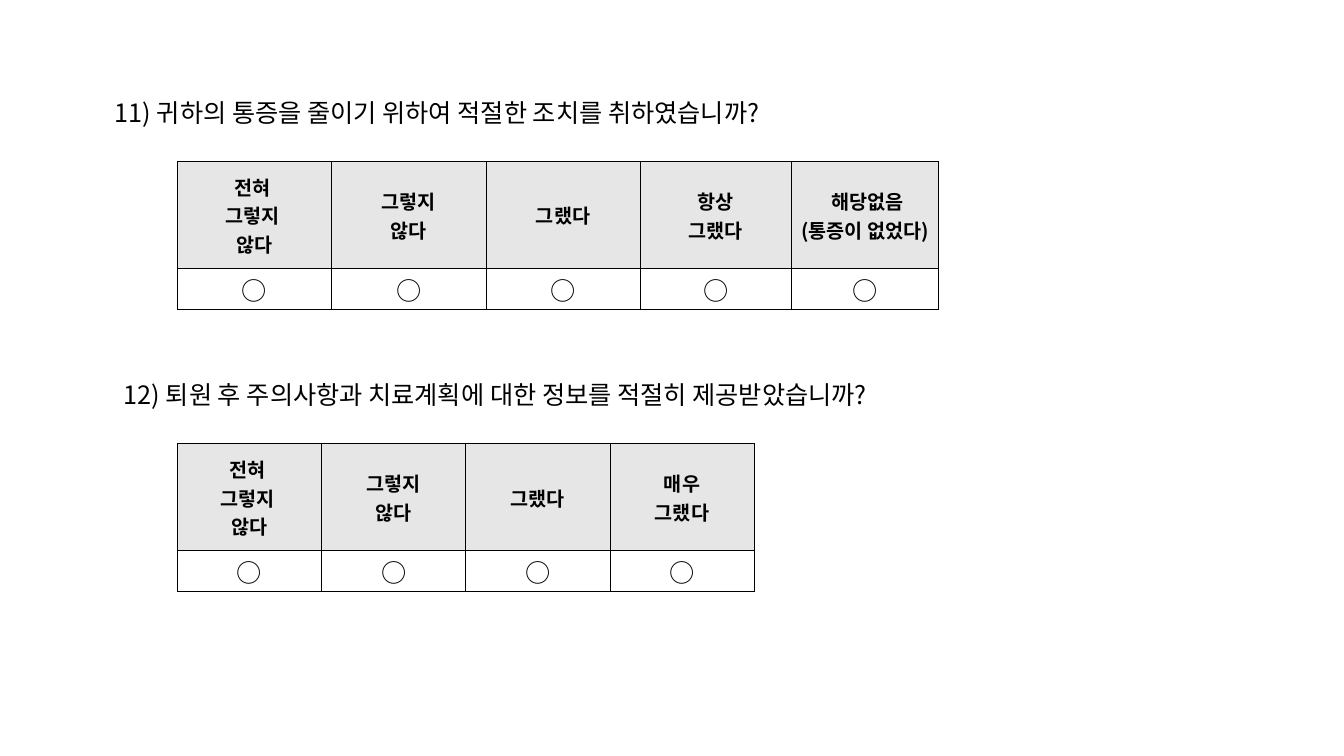
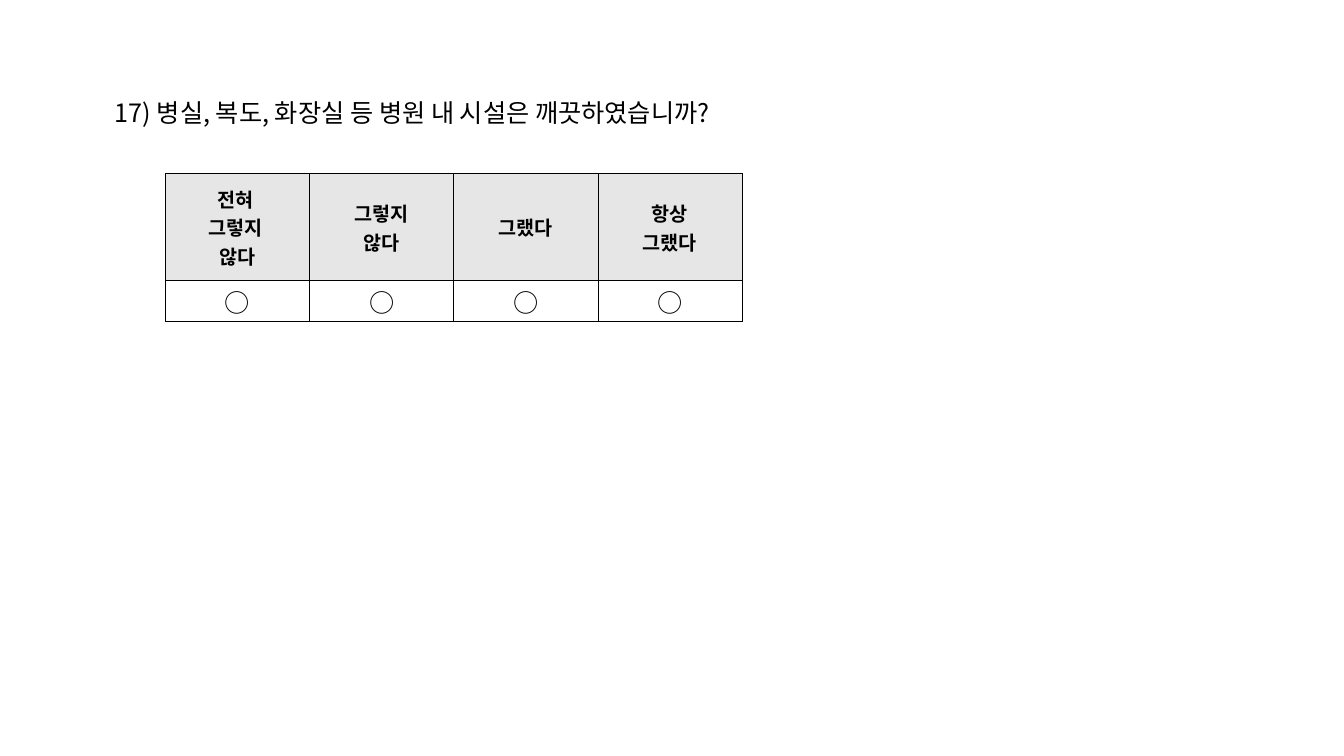
from copy import deepcopy

from lxml.etree import SubElement
from pptx import Presentation
from pptx.dml.color import RGBColor
from pptx.enum.text import MSO_ANCHOR, MSO_AUTO_SIZE, PP_ALIGN
from pptx.oxml.ns import qn
from pptx.util import Inches, Pt

FONT = "Noto Sans CJK KR"
COLORS = {"ink": "000000", "header": "E7E6E6", "answer": "FFFFFF"}
QUESTION_FONT = {"name": FONT, "size": Pt(18), "bold": False}
HEADER_FONT = {"name": FONT, "size": Pt(14), "bold": True}
ANSWER_FONT = QUESTION_FONT
CELL_FORMAT = {
    "margin_left": Inches(0.01),
    "margin_right": Inches(0.01),
    "margin_top": Inches(0.01),
    "margin_bottom": 0,
    "vertical_anchor": MSO_ANCHOR.MIDDLE,
}
BORDER_WIDTH = Pt(0.5)
ROW_HEIGHTS = (1.06, 0.41)
FOUR_COLUMNS = (1.43,) * 4
FIVE_COLUMNS = (1.53, 1.53, 1.53, 1.5, 1.46)

# Each answer is a list of paragraphs; "\n" is a line break inside one.
COMMON_ANSWERS = [["전혀 \n그렇지 \n않다"], ["그렇지\n않다"], ["그랬다"]]
ALWAYS = ["항상\n그랬다"]
VERY = ["매우\n그랬다"]
NOT_APPLICABLE = [" 해당없음", "(통증이 없었다)"]

# Per slide: question, its box (left, top, width), table (left, top), columns, answers
SLIDES = [
    [
        ("11) 귀하의 통증을 줄이기 위하여 적절한 조치를 취하였습니까?",
         (1.04, 0.92, 7.36), (1.76, 1.6), FIVE_COLUMNS,
         COMMON_ANSWERS + [ALWAYS, NOT_APPLICABLE]),
        ("12) 퇴원 후 주의사항과 치료계획에 대한 정보를 적절히 제공받았습니까?",
         (1.13, 3.71, 8.46), (1.76, 4.4), FOUR_COLUMNS,
         COMMON_ANSWERS + [VERY]),
    ],
    [
        ("17) 병실, 복도, 화장실 등 병원 내 시설은 깨끗하였습니까?",
         (1.04, 0.92, 6.8), (1.64, 1.72), FOUR_COLUMNS,
         COMMON_ANSWERS + [ALWAYS]),
    ],
]


def apply_format(target, values):
    for name, value in values.items():
        setattr(target, name, value)


def write_paragraph(para, text, font_format):
    """Write text in one style, giving its line breaks the same style."""
    para.text = text
    for span in para.runs:
        apply_format(span.font, font_format)
        span.font.color.rgb = RGBColor.from_string(COLORS["ink"])
        properties = span.font._element
        SubElement(properties, qn("a:ea")).set("typeface", FONT)
    for line_break in para._p.findall(qn("a:br")):
        line_break.append(deepcopy(properties))


def add_question(page, text, left, top, width):
    box = page.shapes.add_textbox(
        Inches(left), Inches(top), Inches(width), Inches(0.4))
    frame = box.text_frame
    frame.word_wrap = False
    frame.auto_size = MSO_AUTO_SIZE.SHAPE_TO_FIT_TEXT
    write_paragraph(frame.paragraphs[0], text, QUESTION_FONT)


def draw_borders(cell):
    properties = cell._tc.get_or_add_tcPr()
    for side in ("lnL", "lnR", "lnT", "lnB"):
        line = SubElement(properties, qn(f"a:{side}"), w=str(int(BORDER_WIDTH)))
        fill = SubElement(line, qn("a:solidFill"))
        SubElement(fill, qn("a:srgbClr"), val=COLORS["ink"])


def fill_cell(cell, lines, color, font_format):
    apply_format(cell, CELL_FORMAT)
    draw_borders(cell)
    cell.fill.solid()
    cell.fill.fore_color.rgb = RGBColor.from_string(COLORS[color])
    frame = cell.text_frame
    for index, line in enumerate(lines):
        para = frame.add_paragraph() if index else frame.paragraphs[0]
        para.alignment = PP_ALIGN.CENTER
        write_paragraph(para, line, font_format)


def add_answer_table(page, left, top, widths, answers):
    table = page.shapes.add_table(
        len(ROW_HEIGHTS), len(widths), Inches(left), Inches(top),
        Inches(sum(widths)), Inches(sum(ROW_HEIGHTS))).table
    apply_format(table, {"first_row": False, "horz_banding": False})
    for row, height in zip(table.rows, ROW_HEIGHTS):
        row.height = Inches(height)
    for index, (width, answer) in enumerate(zip(widths, answers)):
        table.columns[index].width = Inches(width)
        fill_cell(table.cell(0, index), answer, "header", HEADER_FONT)
        fill_cell(table.cell(1, index), ["○"], "answer", ANSWER_FONT)


def main():
    deck = Presentation()
    deck.slide_width, deck.slide_height = Inches(13.33), Inches(7.5)
    for questions in SLIDES:
        page = deck.slides.add_slide(deck.slide_layouts[6])
        for text, question_box, table_corner, widths, answers in questions:
            add_question(page, text, *question_box)
            add_answer_table(page, *table_corner, widths, answers)
    deck.save("out.pptx")


if __name__ == "__main__":
    main()
